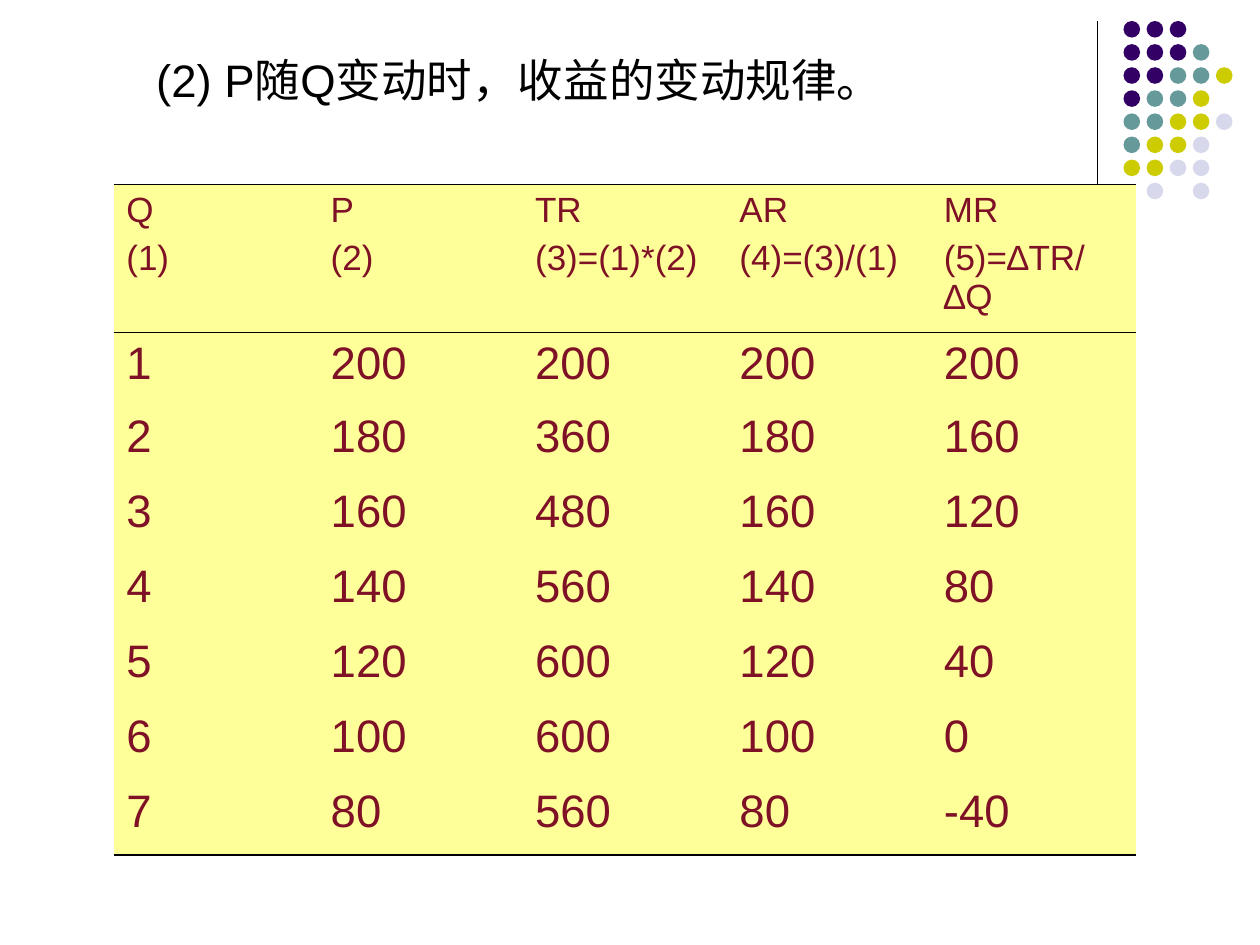
"""Build a slide tabulating total, average and marginal revenue as price varies."""
from dataclasses import dataclass

from lxml.etree import SubElement
from pptx import Presentation
from pptx.dml.color import RGBColor
from pptx.enum.shapes import MSO_CONNECTOR as Connector, MSO_SHAPE as Shape
from pptx.enum.text import MSO_ANCHOR as Anchor, MSO_AUTO_SIZE as AutoSize, PP_ALIGN as Align
from pptx.oxml import parse_xml
from pptx.oxml.ns import nsdecls, qn
from pptx.util import Pt

HEADING = "(2) P随Q变动时，收益的变动规律。"
COLUMNS = [
    ("Q", "(1)"),
    ("P", "(2)"),
    ("TR", "(3)=(1)*(2)"),
    ("AR", "(4)=(3)/(1)"),
    ("MR", "(5)=∆TR/∆Q"),
]
REVENUE = [
    (1, 200, 200, 200, 200),
    (2, 180, 360, 180, 160),
    (3, 160, 480, 160, 120),
    (4, 140, 560, 140, 80),
    (5, 120, 600, 120, 40),
    (6, 100, 600, 100, 0),
    (7, 80, 560, 80, -40),
]
DOT_ROWS = ["PPP", "PPPT", "PPTTY", "PTTY", "TTYYL", "TYYL", "YYLL", " L L"]


@dataclass(frozen=True)
class Theme:
    font: str = "Arial"
    heading_size: float = 26
    header_size: float = 20
    value_size: float = 26
    header_gap: float = 5
    ink: str = "000000"
    table_text: str = "7E1126"
    table_fill: str = "FFFF99"
    divider_width: float = 0.75
    header_rule: float = 0.45
    bottom_rule: float = 1.08


THEME = Theme()
DOT_COLORS = {"P": "330066", "T": "669999", "Y": "CCCC00", "L": "D8D8EC"}
SLIDE_SIZE = (720, 540)
HEADING_BOX = (82, 26, 471, 81)
DIVIDER = (627, 12, 627, 132)
DOT_LEFT, DOT_TOP, DOT_PITCH, DOT_SIZE = 642, 12, 13.2, 9.5
TABLE_LEFT, TABLE_TOP, COLUMN_WIDTH = 65, 105.6, 116.8
ROW_HEIGHTS = [84.2, 41.5] + [42.9] * 6


def points(values):
    return [Pt(value) for value in values]


def write(paragraph, text, size, color):
    run = paragraph.add_run()
    run.text = str(text)
    run.font.name = THEME.font
    run.font.size = Pt(size)
    run.font.color.rgb = RGBColor.from_string(color)


def add_heading(slide):
    heading = slide.shapes.title
    heading.left, heading.top, heading.width, heading.height = points(HEADING_BOX)
    frame = heading.text_frame
    frame.word_wrap = True
    frame.auto_size = AutoSize.NONE
    frame.vertical_anchor = Anchor.TOP
    paragraph = frame.paragraphs[0]
    paragraph.alignment = Align.LEFT
    write(paragraph, HEADING, THEME.heading_size, THEME.ink)


def add_divider(slide):
    divider = slide.shapes.add_connector(Connector.STRAIGHT, *points(DIVIDER))
    divider.line.color.rgb = RGBColor.from_string(THEME.ink)
    divider.line.width = Pt(THEME.divider_width)
    SubElement(divider._element.spPr, qn("a:effectLst"))


def add_dots(slide):
    group = slide.shapes.add_group_shape()
    for row, codes in enumerate(DOT_ROWS):
        for column, code in enumerate(codes):
            if code not in DOT_COLORS:
                continue
            left, top = DOT_LEFT + column * DOT_PITCH, DOT_TOP + row * DOT_PITCH
            dot = group.shapes.add_shape(Shape.OVAL, *points((left, top, DOT_SIZE, DOT_SIZE)))
            dot.shadow.inherit = False
            dot.fill.solid()
            dot.fill.fore_color.rgb = RGBColor.from_string(DOT_COLORS[code])
            dot.line.fill.background()


def set_borders(cell, top, bottom):
    properties = cell._tc.get_or_add_tcPr()
    for index, (side, width) in enumerate(zip("LRTB", (0, 0, top, bottom))):
        paint = f'<a:solidFill><a:srgbClr val="{THEME.ink}"/></a:solidFill>' if width else "<a:noFill/>"
        border = f'<a:ln{side} {nsdecls("a")} w="{Pt(width)}">{paint}</a:ln{side}>'
        properties.insert(index, parse_xml(border))


def fill_cell(cell, lines, size, top, bottom):
    cell.fill.solid()
    cell.fill.fore_color.rgb = RGBColor.from_string(THEME.table_fill)
    set_borders(cell, top, bottom)
    frame = cell.text_frame
    for index, line in enumerate(lines):
        paragraph = frame.add_paragraph() if index else frame.paragraphs[0]
        if index:
            paragraph.space_before = Pt(THEME.header_gap)
        write(paragraph, line, size, THEME.table_text)


def add_revenue_table(slide):
    rows = [COLUMNS] + [[(value,) for value in values] for values in REVENUE]
    box = (TABLE_LEFT, TABLE_TOP, COLUMN_WIDTH * len(COLUMNS), sum(ROW_HEIGHTS))
    table = slide.shapes.add_table(len(rows), len(COLUMNS), *points(box)).table
    table.first_row = table.horz_banding = False
    for column in table.columns:
        column.width = Pt(COLUMN_WIDTH)
    rules = [THEME.header_rule] * 2 + [0] * (len(rows) - 2) + [THEME.bottom_rule]
    for index, cells in enumerate(rows):
        table.rows[index].height = Pt(ROW_HEIGHTS[index])
        size = THEME.value_size if index else THEME.header_size
        for column, lines in enumerate(cells):
            fill_cell(table.cell(index, column), lines, size, rules[index], rules[index + 1])


def main():
    presentation = Presentation()
    presentation.slide_width, presentation.slide_height = points(SLIDE_SIZE)
    slide = presentation.slides.add_slide(presentation.slide_layouts[5])
    add_divider(slide)
    add_dots(slide)
    add_heading(slide)
    add_revenue_table(slide)
    presentation.save("out.pptx")


if __name__ == "__main__":
    main()
